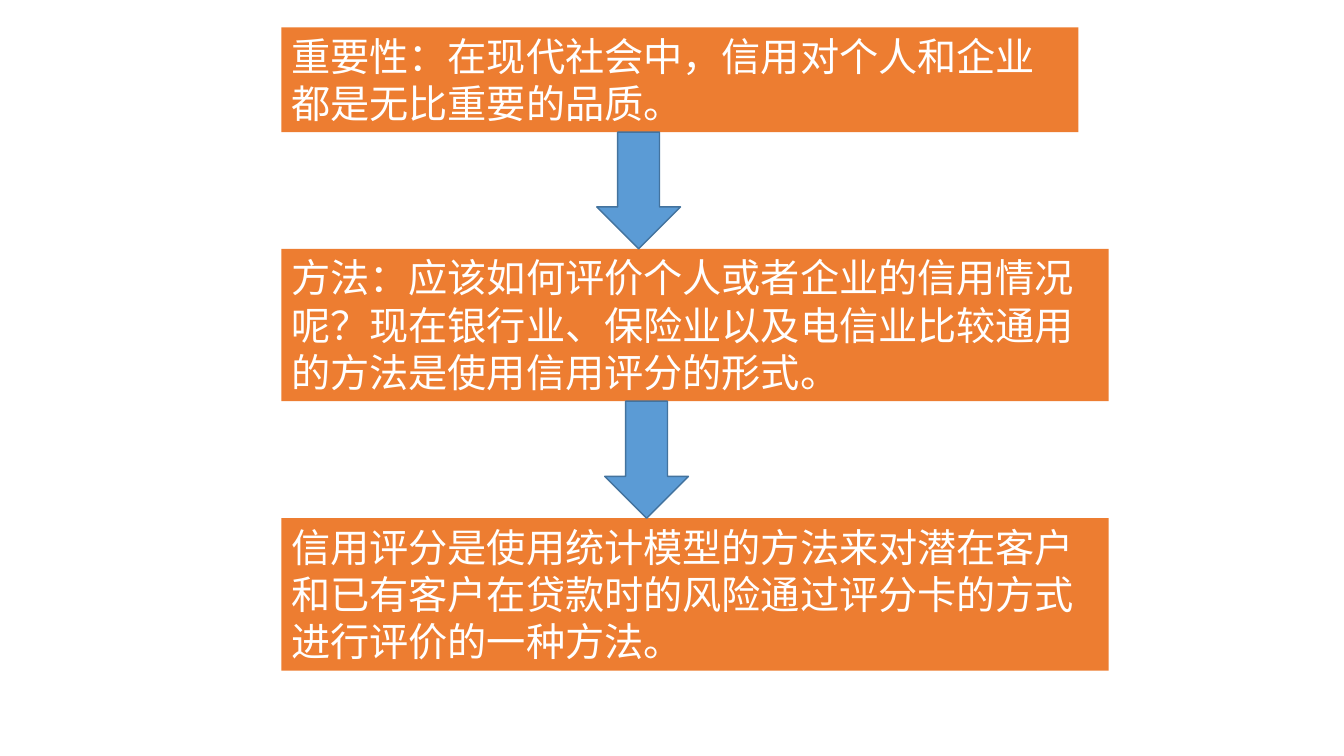
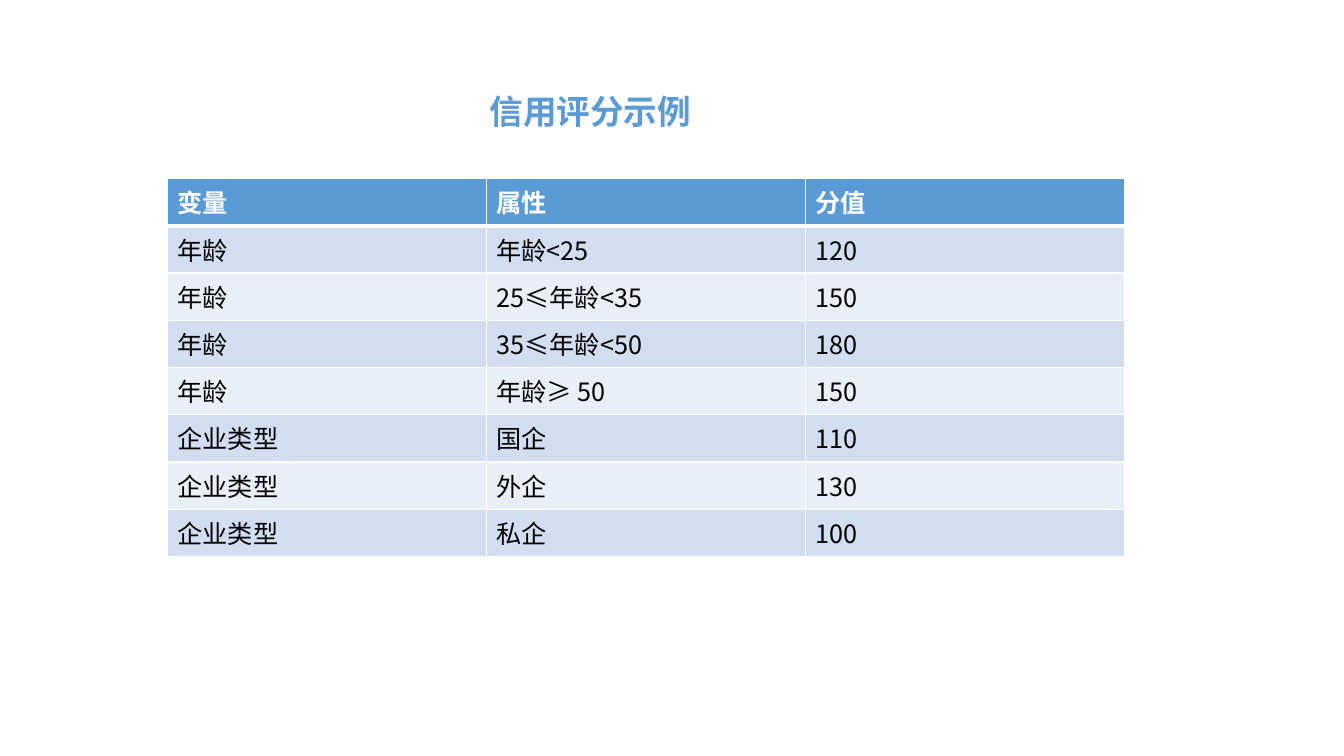
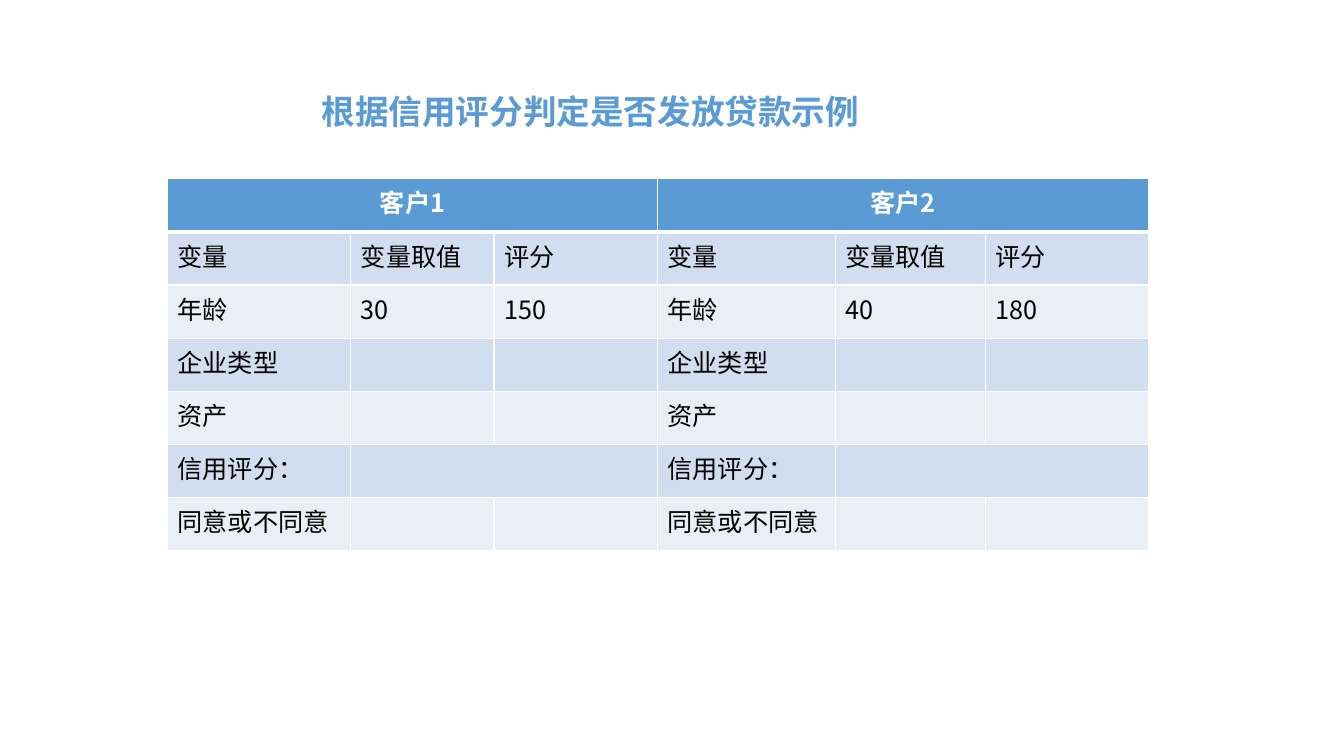
import pptx
import pptx.util
import pptx.dml.color
import pptx.enum.shapes
import pptx.enum.text
import pptx.oxml
import pptx.oxml.ns
import lxml.etree

Cm, Pt = pptx.util.Cm, pptx.util.Pt
SHAPE = pptx.enum.shapes.MSO_SHAPE
ALIGN = pptx.enum.text.PP_ALIGN
ANCHOR = pptx.enum.text.MSO_ANCHOR
AUTO = pptx.enum.text.MSO_AUTO_SIZE
qn = pptx.oxml.ns.qn

# Shared colours and text formats
BLUE, DARK_BLUE, ORANGE = "5B9BD5", "43739E", "ED7D31"
WHITE, BLACK = "FFFFFF", "000000"
BANDS = ["EAEFF7", "D2DEEF"]
CJK = "Noto Sans CJK SC"
STEP = {"name": CJK, "size": Pt(28), "bold": False}
TITLE = {"name": "Calibri", "size": Pt(24), "bold": True}
HEADER = {"name": CJK, "size": Pt(18), "bold": True}
BODY = {"name": CJK, "size": Pt(18), "bold": False}


def paint(fill, color):
    fill.solid()
    fill.fore_color.rgb = pptx.dml.color.RGBColor.from_string(color)


def write(tf, text, fmt, color, align):
    p = tf.paragraphs[0]
    p.alignment = align
    r = p.add_run()
    r.text = text
    for name, value in fmt.items():
        setattr(r.font, name, value)
    paint(r.font.fill, color)
    ea = lxml.etree.SubElement(r.font._element, qn("a:ea"))
    ea.set("typeface", CJK)


prs = pptx.Presentation()
prs.slide_width, prs.slide_height = Cm(33.87), Cm(19.05)

# Slide 1: three steps joined by arrows
s = prs.slides.add_slide(prs.slide_layouts[6])
steps = [  # top, width, height, text
    (0.69, 20.09, 2.64, "重要性：在现代社会中，信用对个人和企业都是无比重要的品质。"),
    (6.27, 20.85, 3.84, "方法：应该如何评价个人或者企业的信用情况呢？现在银行业、保险业以及"
                        "电信业比较通用的方法是使用信用评分的形式。"),
    (13.06, 20.85, 3.84, "信用评分是使用统计模型的方法来对潜在客户和已有客户在贷款时的风险"
                         "通过评分卡的方式进行评价的一种方法。"),
]
for top, width, height, text in steps:
    sp = s.shapes.add_shape(SHAPE.RECTANGLE, Cm(7.09), Cm(top), Cm(width), Cm(height))
    sp.shadow.inherit = False
    paint(sp.fill, ORANGE)
    sp.line.fill.background()
    tf = sp.text_frame
    tf.word_wrap = True
    tf.auto_size = AUTO.SHAPE_TO_FIT_TEXT
    tf.vertical_anchor = ANCHOR.TOP
    write(tf, text, STEP, WHITE, ALIGN.LEFT)

# Each arrow fills the gap between two steps
for left, upper, lower in zip([15.04, 15.24], steps, steps[1:]):
    top = upper[0] + upper[2]
    sp = s.shapes.add_shape(SHAPE.DOWN_ARROW, Cm(left), Cm(top), Cm(2.11), Cm(lower[0] - top))
    sp.shadow.inherit = False
    paint(sp.fill, BLUE)
    paint(sp.line.fill, DARK_BLUE)
    sp.line.width = Pt(1)

# Slides 2 and 3: a title over a banded table
customer_rows = [
    ["变量", "变量取值", "评分"] * 2,
    ["年龄", "30", "150", "年龄", "40", "180"],
]
for label in ["企业类型", "资产", "信用评分：", "同意或不同意"]:
    customer_rows.append([label, "", ""] * 2)

tables = [
    {
        "title": "信用评分示例",
        "widths": [8.04] * 3,
        "row_height": 1.19,
        "header_align": ALIGN.LEFT,
        "merges": [],  # row, first column, last column
        "rows": [
            ["变量", "属性", "分值"],
            ["年龄", "年龄<25", "120"],
            ["年龄", "25≤年龄<35", "150"],
            ["年龄", "35≤年龄<50", "180"],
            ["年龄", "年龄≥ 50", "150"],
            ["企业类型", "国企", "110"],
            ["企业类型", "外企", "130"],
            ["企业类型", "私企", "100"],
        ],
    },
    {
        "title": "根据信用评分判定是否发放贷款示例",
        "widths": [4.62, 3.61, 4.12, 4.48, 3.78, 4.12],
        "row_height": 1.34,
        "header_align": ALIGN.CENTER,
        "merges": [(0, 0, 2), (0, 3, 5), (5, 1, 2), (5, 4, 5)],
        "rows": [["客户1", "", "", "客户2", "", ""]] + customer_rows,
    },
]

for t in tables:
    s = prs.slides.add_slide(prs.slide_layouts[5])

    # Title
    sp = s.shapes.title
    sp.left, sp.top, sp.width, sp.height = Cm(6.38), Cm(2.26), Cm(16.99), Cm(1.07)
    tf = sp.text_frame
    tf.word_wrap = False
    tf.auto_size = AUTO.NONE
    tf.vertical_anchor = ANCHOR.MIDDLE
    write(tf, t["title"], TITLE, BLUE, ALIGN.CENTER)

    # Table grid
    rows, widths = t["rows"], t["widths"]
    table = s.shapes.add_table(len(rows), len(widths), Cm(4.22), Cm(4.5),
                               Cm(sum(widths)), Cm(t["row_height"] * len(rows))).table
    for column, width in zip(table.columns, widths):
        column.width = Cm(width)
    for row in table.rows:
        row.height = Cm(t["row_height"])

    # Cells: white borders, thick under the header, then fill and text
    for i, row in enumerate(rows):
        for j, text in enumerate(row):
            cell = table.cell(i, j)
            tcPr = cell._tc.get_or_add_tcPr()
            for side in "LRTB":
                thick = (i, side) in [(0, "B"), (1, "T")]
                ln = lxml.etree.SubElement(tcPr, qn("a:ln" + side), w=str(Pt(3 if thick else 1)))
                line_fill = lxml.etree.SubElement(ln, qn("a:solidFill"))
                lxml.etree.SubElement(line_fill, qn("a:srgbClr"), val=WHITE)
            paint(cell.fill, BANDS[i % 2] if i else BLUE)
            if text and i:
                write(cell.text_frame, text, BODY, BLACK, ALIGN.LEFT)
            elif text:
                write(cell.text_frame, text, HEADER, WHITE, t["header_align"])
    for i, first, last in t["merges"]:
        table.cell(i, first).merge(table.cell(i, last))

prs.save("out.pptx")
